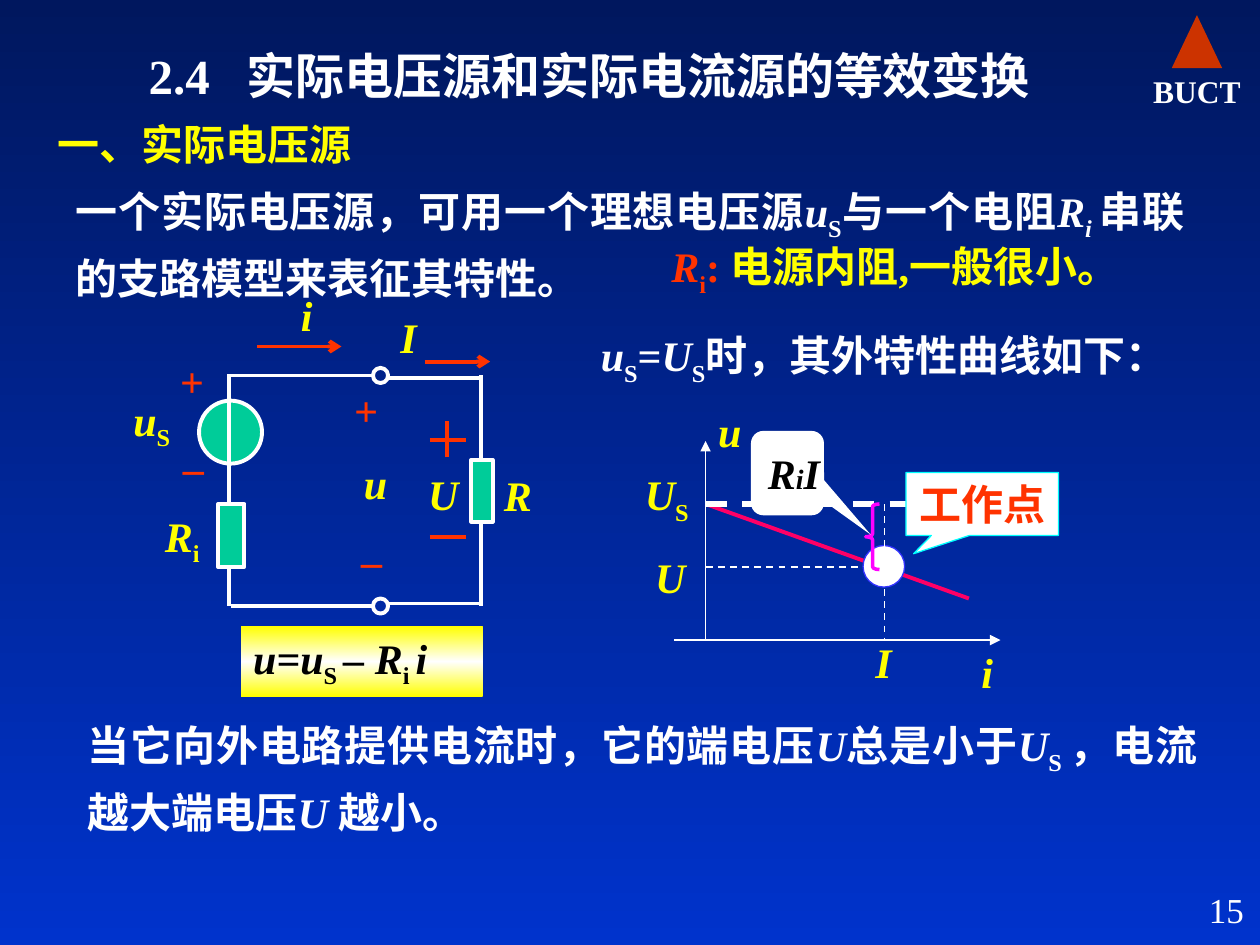
from copy import deepcopy

from lxml import etree
from pptx import Presentation
from pptx.dml.color import RGBColor
from pptx.enum.dml import MSO_LINE
from pptx.enum.shapes import MSO_CONNECTOR, MSO_SHAPE
from pptx.enum.text import MSO_ANCHOR, MSO_AUTO_SIZE, PP_ALIGN
from pptx.oxml.ns import qn
from pptx.util import Inches, Pt

LEFT, CENTER, RIGHT, JUSTIFY = PP_ALIGN.LEFT, PP_ALIGN.CENTER, PP_ALIGN.RIGHT, PP_ALIGN.JUSTIFY
TOP, MIDDLE = MSO_ANCHOR.TOP, MSO_ANCHOR.MIDDLE
RECT, OVAL, TRIANGLE = MSO_SHAPE.RECTANGLE, MSO_SHAPE.OVAL, MSO_SHAPE.ISOSCELES_TRIANGLE
BOX_CALLOUT, ROUND_CALLOUT = MSO_SHAPE.RECTANGULAR_CALLOUT, MSO_SHAPE.ROUNDED_RECTANGULAR_CALLOUT
BRACE, STRAIGHT, DASH = MSO_SHAPE.LEFT_BRACE, MSO_CONNECTOR.STRAIGHT, MSO_LINE.DASH

COLUMNS, ROWS = 100, 75
WHITE, YELLOW, RED, GREEN, BLACK = "FFFFFF", "FFFF00", "FF3300", "00CC99", "000000"


def rgb(value):
    return RGBColor.from_string(value)


def set_gradient(fill, owner, colors):
    """Fill from top to bottom with evenly spaced colours."""
    fill.gradient()
    fill.gradient_angle = 270
    stops = owner.find(".//" + qn("a:gsLst"))
    while len(stops) < len(colors):
        stops.append(deepcopy(stops[-1]))
    for i, (stop, color) in enumerate(zip(fill.gradient_stops, colors)):
        stop.position = i / (len(colors) - 1)
        stop.color.rgb = rgb(color)


def write(sp, runs, color=YELLOW, size=24, bold=True, align=LEFT, anchor=TOP,
          wrap=True, spacing=None, tab=None):
    """Write runs of (text, flags, color, size); flag i is italic, s is subscript."""
    tf = sp.text_frame
    tf.word_wrap, tf.auto_size, tf.vertical_anchor = wrap, MSO_AUTO_SIZE.NONE, anchor
    p = tf.paragraphs[0]
    p.alignment, p.space_before = align, Pt(0)
    if spacing:
        p.line_spacing = spacing
    if tab:
        tabs = etree.SubElement(p._p.get_or_add_pPr(), qn("a:tabLst"))
        etree.SubElement(tabs, qn("a:tab"), pos=str(Inches(tab)), algn="l")
    for text, flags, *special in runs:
        r = p.add_run()
        r.text = text
        font = r.font
        font.name, font.bold, font.italic = "Times New Roman", bold, "i" in flags
        font.color.rgb = rgb(special[0] if special else color)
        font.size = Pt(special[1] if len(special) > 1 else size)
        if "s" in flags:
            r._r.get_or_add_rPr().set("baseline", "-25000")


class Board:
    """Holds the slide and places elements on a grid of columns and rows."""

    def __init__(self, prs):
        self.prs = prs
        self.s = prs.slides.add_slide(prs.slide_layouts[5])
        self.shapes = self.s.shapes
        set_gradient(self.s.background.fill, self.s._element, ["00175E", "0033CC"])

    def place(self, *cells):
        """Turn alternating columns and rows into lengths."""
        steps = (self.prs.slide_width / COLUMNS, self.prs.slide_height / ROWS)
        return [round(cell * steps[i % 2]) for i, cell in enumerate(cells)]

    def title(self, cells, runs, **style):
        sp = self.shapes.title
        sp.left, sp.top, sp.width, sp.height = self.place(*cells)
        write(sp, runs, **style)

    def text(self, cells, runs, **style):
        write(self.shapes.add_textbox(*self.place(*cells)), runs, **style)

    def shape(self, kind, cells, fill=None, line=None, weight=2.25, adjust=()):
        sp = self.shapes.add_shape(kind, *self.place(*cells))
        sp.shadow.inherit = False
        for i, value in enumerate(adjust):
            sp.adjustments[i] = value
        if isinstance(fill, list):
            set_gradient(sp.fill, sp._element, fill)
        elif fill:
            sp.fill.solid()
            sp.fill.fore_color.rgb = rgb(fill)
        else:
            sp.fill.background()
        if line:
            sp.line.color.rgb = rgb(line)
            sp.line.width = Pt(weight)
        else:
            sp.line.fill.background()
        return sp

    def line(self, cells, color=WHITE, weight=2.25, dash=None, arrow=None):
        c = self.shapes.add_connector(STRAIGHT, *self.place(*cells))
        c.line.color.rgb = rgb(color)
        c.line.width = Pt(weight)
        if dash:
            c.line.dash_style = dash
        if arrow:
            etree.SubElement(c.line._get_or_add_ln(), qn("a:tailEnd"), type=arrow)
        etree.SubElement(c._element.spPr, qn("a:effectLst"))


def draw_heading(b):
    b.shape(TRIANGLE, (93, 1.2, 4, 4.2), "CC3300")
    b.text((90.7, 5.7, 8.6, 3), [("BUCT", "")], color=WHITE, size=18,
           align=CENTER, anchor=MIDDLE, wrap=False)
    b.title((10.8, 3, 77.5, 5.9), [("2.4\t实际电压源和实际电流源的等效变换", "")],
            color=WHITE, size=28, anchor=MIDDLE, tab=0.78)


def draw_paragraphs(b):
    body = dict(color=WHITE, align=JUSTIFY, spacing=1.2)
    b.text((5, 13.3, 90, 11.9),
           [("一个实际电压源，可用一个理想电压源", ""), ("u", "i"), ("S", "s"),
            ("与一个电阻", ""), ("R", "i"), ("i ", "is"),
            ("串联的支路模型来表征其特性。", "")], **body)
    b.text((3.6, 8.9, 33.4, 5), [("一、实际电压源", "")])
    b.text((52.3, 18.6, 42.7, 5.6),
           [("R", "i", RED), ("i", "s", RED), (": ", "", RED), ("电源内阻,一般很小。", "")])
    b.text((46.7, 25.7, 48.3, 5.6),
           [("u", "i"), ("S", "s"), ("=", ""), ("U", "i"), ("S", "s"),
            ("时，其外特性曲线如下：", "")], color=WHITE)
    b.text((6, 55.7, 90, 11.3),
           [("当它向外电路提供电流时，它的端电压", ""), ("U", "i"), ("总是小于", ""),
            ("U", "i"), ("S ", "s"), ("，电流越大端电压", ""), ("U ", "i"), ("越小。", "")], **body)
    b.text((78.9, 70, 20.8, 5), [("15", "")], color=WHITE, size=20, bold=False, align=RIGHT)


def draw_circuit(b):
    b.shape(OVAL, (15.8, 31.8, 5, 5), GREEN, WHITE)
    for wire in [(18.2, 29.7, 18.2, 48.1), (18.1, 29.8, 29.6, 29.8), (18.3, 48.1, 29.6, 48.1),
                 (38.2, 29.8, 38.2, 48.1), (30.8, 30, 38.3, 30), (30.8, 47.9, 38.3, 47.9)]:
        b.line(wire)
    for resistor in [(17.3, 40, 2.1, 5), (37.4, 36.5, 1.7, 4.9)]:
        b.shape(RECT, resistor, GREEN, WHITE)
    for row in (29.2, 47.5):
        b.shape(OVAL, (29.6, row, 1.2, 1.2), line=WHITE)
    for current in [(20.4, 27.5, 27.1, 27.5), (33.7, 28.7, 38.9, 28.7)]:
        b.line(current, RED, arrow="arrow")
    for sign in [(34.1, 42.6, 37, 42.6), (34.1, 34.9, 37, 34.9), (35.5, 36.3, 35.5, 33.4)]:
        b.line(sign, RED)

    for cells, symbol in [((13.3, 27.7, 3.9, 5), "+"), ((13.5, 33.4, 3.7, 5), "_")]:
        b.text(cells, [(symbol, "")], color=RED, align=CENTER, anchor=MIDDLE)
    for cells, symbol in [((27.1, 30, 5, 5), "+"), ((27.9, 40.8, 5, 5), "_")]:
        b.text(cells, [(symbol, "i")], color=RED)
    for cells, symbol in [((22.9, 22.5, 4.2, 5), "i"), ((27.9, 35.8, 5, 5), "u"),
                          ((39, 36.8, 4.2, 5), "R"), ((33, 36.7, 4.4, 5), "U"),
                          ((30.8, 24.2, 3.3, 5), "I")]:
        b.text(cells, [(symbol, "i")])
    b.text((9.6, 30.8, 5.8, 5.6), [("u", "i"), ("S", "s")])
    b.text((12.1, 40, 5, 5.6), [("R", "i"), ("i", "s")])

    formula = b.shape(RECT, (19.1, 49.7, 19.2, 5.6), [YELLOW, WHITE, YELLOW])
    write(formula, [("u=u", "i"), ("S ", "s"), ("– R", "i"), ("i ", "s"), ("i", "i")], color=BLACK)


def draw_curve(b):
    b.line((56, 40, 76.9, 47.5), "FF0066")
    for axis in [(53.5, 50.8, 79.4, 50.8), (56, 50.8, 56, 35)]:
        b.line(axis, weight=1, arrow="triangle")
    b.line((56, 40, 77.7, 40), weight=3, dash=DASH)
    b.line((56, 45, 70.2, 45), weight=1, dash=DASH)
    b.shape(OVAL, (68.5, 43.3, 3.3, 3.3), WHITE, "3333FF", 0.75)
    point = b.shape(BOX_CALLOUT, (71.9, 37.5, 12.1, 5), WHITE, "00FFFF", 0.75, (-0.45, 0.79))
    write(point, [("工作点", "")], color=RED, align=CENTER, anchor=MIDDLE, wrap=False)
    b.line((70.2, 40, 70.2, 50.8), weight=1, dash=DASH)
    b.shape(BRACE, (68.7, 40, 1.1, 5.2), line="FF00FF", weight=2, adjust=(0.2, 0.5))
    drop = b.shape(ROUND_CALLOUT, (59.6, 34.2, 5.8, 6.7), WHITE, adjust=(1.14, 0.73, 0.17))
    drop.text_frame.margin_left = Inches(0.2)
    write(drop, [("R", "i"), ("i", "i", BLACK, 16), ("I", "i")], color=BLACK,
          align=CENTER, anchor=MIDDLE, wrap=False)

    for cells, symbol in [((56, 31.7, 4.2, 5), "u"), ((76.9, 50.8, 3.3, 5), "i"),
                          ((51, 43.3, 4.2, 5), "U"), ((68.5, 50, 3.3, 5), "I")]:
        b.text(cells, [(symbol, "i")])
    b.text((50.2, 36.7, 5.8, 5.6), [("U", "i"), ("S", "s")])


def main():
    prs = Presentation()
    prs.slide_width, prs.slide_height = Inches(10), Inches(7.5)
    b = Board(prs)
    draw_heading(b)
    draw_paragraphs(b)
    draw_circuit(b)
    draw_curve(b)
    prs.save("out.pptx")


if __name__ == "__main__":
    main()
